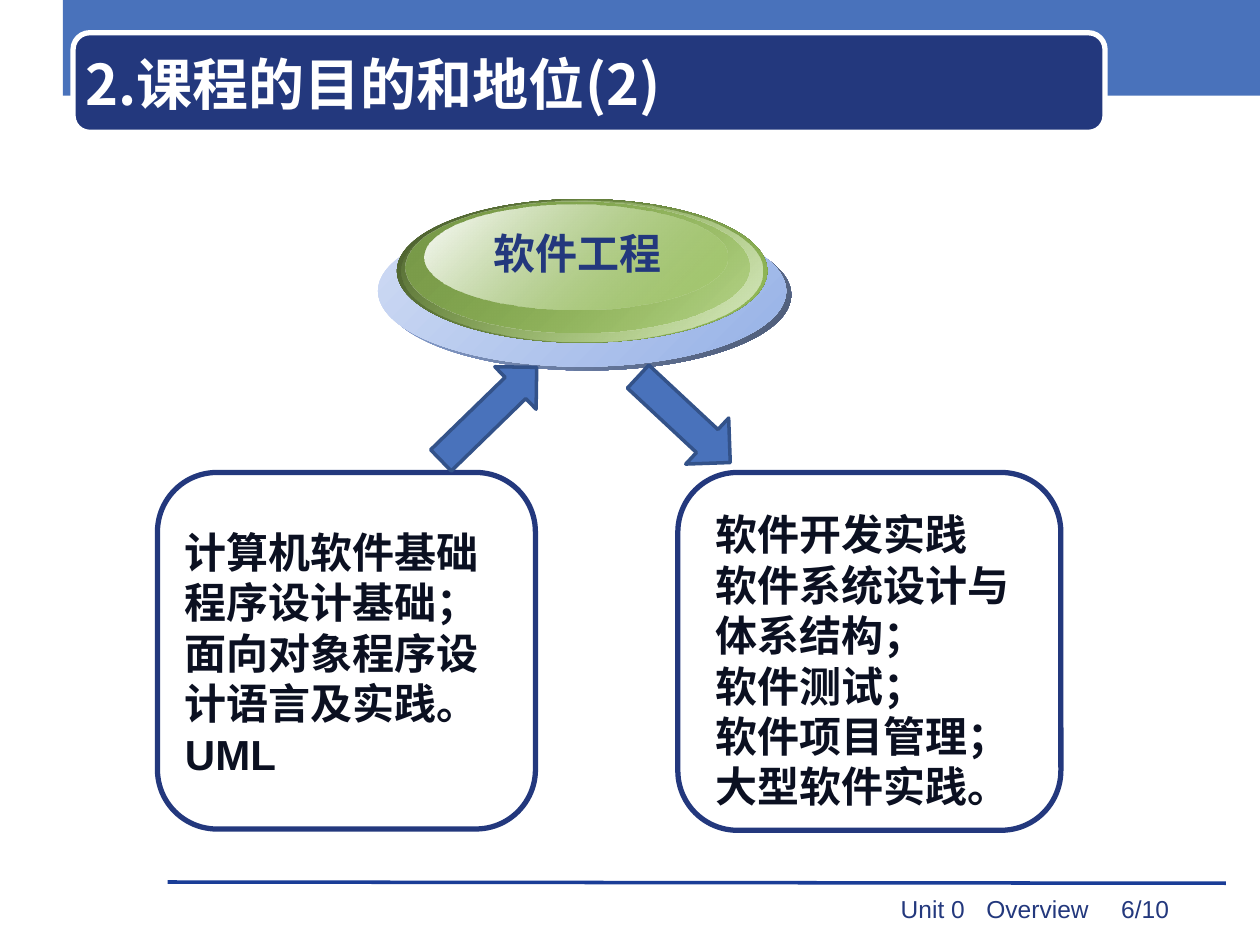
from pptx import Presentation
from pptx.dml.color import RGBColor
from pptx.enum.shapes import MSO_CONNECTOR, MSO_SHAPE
from pptx.enum.text import MSO_ANCHOR, PP_ALIGN
from pptx.oxml.ns import qn
from pptx.util import Inches, Pt
from lxml import etree

RECT = MSO_SHAPE.RECTANGLE
ROUND = MSO_SHAPE.ROUNDED_RECTANGLE
OVAL = MSO_SHAPE.OVAL
ARROW = MSO_SHAPE.RIGHT_ARROW
LINE = MSO_CONNECTOR.STRAIGHT
MIDDLE = MSO_ANCHOR.MIDDLE
CENTER = PP_ALIGN.CENTER

COLORS = {
    "band": "4972BB", "navy": "23387D", "rule": "1A3D97", "edge": "335289",
    "ink": "0B1021", "white": "FFFFFF", "sky": "96B1E6", "pale": "D0DCF4",
    "slate": "495670", "moss": "475A2B", "leaf": "99C25C", "mint": "DBEAC6",
    "fern": "799A49",
}


class Deck:
    font = "Arial"
    angle = 315

    def __init__(self, slide):
        self.slide = slide

    def color(self, name):
        return RGBColor.from_string(COLORS[name])

    def shape(self, kind, box, fill=None, line=None, width=0, turn=0):
        item = self.slide.shapes.add_shape(kind, *map(Inches, box))
        item.shadow.inherit = False
        item.rotation = turn
        if fill:
            item.fill.solid()
            item.fill.fore_color.rgb = self.color(fill)
        else:
            item.fill.background()
        if line:
            item.line.color.rgb = self.color(line)
            item.line.width = Pt(width)
        else:
            item.line.fill.background()
        return item

    def oval(self, box, stops):
        item = self.shape(OVAL, box)
        item.fill.gradient()
        item.fill.gradient_angle = self.angle
        for stop, (name, _) in zip(item.fill.gradient_stops, stops):
            stop.color.rgb = self.color(name)
        tints = item.element.spPr.iter(qn("a:srgbClr"))
        for tint, (_, alpha) in zip(tints, stops):
            if alpha < 100:
                etree.SubElement(tint, qn("a:alpha"), val=str(alpha * 1000))

    def rule(self, start, end, name):
        line = self.slide.shapes.add_connector(LINE, *map(Inches, start + end))
        line.line.color.rgb = self.color(name)
        line.line.width = Pt(0)
        etree.SubElement(line.element.spPr, qn("a:effectLst"))

    def text(self, box, lines, size, name, bold=True, font=None,
             align=None, anchor=None, wrap=True, tabs=()):
        frame = self.slide.shapes.add_textbox(*map(Inches, box)).text_frame
        frame.word_wrap = wrap
        if anchor is not None:
            frame.vertical_anchor = anchor
        for i, words in enumerate(lines):
            para = frame.paragraphs[0] if i == 0 else frame.add_paragraph()
            para.add_run().text = words
            if align is not None:
                para.alignment = align
            if tabs:
                props = para._p.get_or_add_pPr()
                stops = etree.SubElement(props, qn("a:tabLst"))
                for pos in tabs:
                    etree.SubElement(stops, qn("a:tab"),
                                     pos=str(Inches(pos)), algn="l")
            para.font.name = font or self.font
            para.font.size = Pt(size)
            para.font.bold = bold
            para.font.color.rgb = self.color(name)

    def panel(self, box, area, lines):
        self.shape(ROUND, box, line="navy", width=3)
        self.text(area, lines, 24, "ink")


def main():
    show = Presentation()
    show.slide_width, show.slide_height = Inches(10), Inches(7.5)
    deck = Deck(show.slides.add_slide(show.slide_layouts[6]))

    deck.shape(RECT, (0.5, 0, 9.5, 0.76), "band")
    deck.rule((1.33, 7), (9.73, 7.01), "rule")
    deck.shape(ROUND, (0.58, 0.26, 8.19, 0.79), "navy", "white", 3)
    deck.text((7.05, 7.05, 2.78, 0.57), ["Unit 0\tOverview\t6/10"], 14, "navy",
              bold=False, tabs=(0.68, 1.75))
    deck.text((0.58, 0.35, 7.83, 0.62), ["2.课程的目的和地位(2)"], 32, "white",
              font="Noto Sans CJK SC", anchor=MIDDLE)

    deck.panel((1.25, 3.75, 3, 2.83), (1.37, 4.13, 2.67, 2.1),
               ["计算机软件基础", "程序设计基础；",
                "面向对象程序设计语言及实践。", "UML"])

    ovals = [
        ((3.04, 1.74, 3.24, 1.2), [("sky", 100), ("slate", 100)]),
        ((3, 1.71, 3.24, 1.2), [("pale", 100), ("sky", 100)]),
        ((3.15, 1.58, 2.94, 1.14), [("moss", 100), ("leaf", 100)]),
        ((3.19, 1.59, 2.86, 1.12), [("leaf", 0), ("mint", 100)]),
        ((3.22, 1.6, 2.73, 1.04), [("fern", 100), ("leaf", 48)]),
        ((3.37, 1.62, 2.4, 0.84), [("white", 100), ("leaf", 38)]),
    ]
    for box, stops in ovals:
        deck.oval(box, stops)
    deck.text((3.82, 1.76, 1.53, 0.5), ["软件工程"], 24, "navy",
              align=CENTER, wrap=False)

    deck.panel((5.38, 3.75, 3.04, 2.84), (5.58, 3.99, 2.71, 2.9),
               ["软件开发实践", "软件系统设计与体系结构；", "软件测试；",
                "软件项目管理；", "大型软件实践。"])

    for box, turn in [((3.35, 3.05, 1.06, 0.47), 315.8),
                      ((4.93, 3.08, 1, 0.5), 43)]:
        deck.shape(ARROW, box, "band", "edge", 2, turn)

    show.save("out.pptx")


if __name__ == "__main__":
    main()
